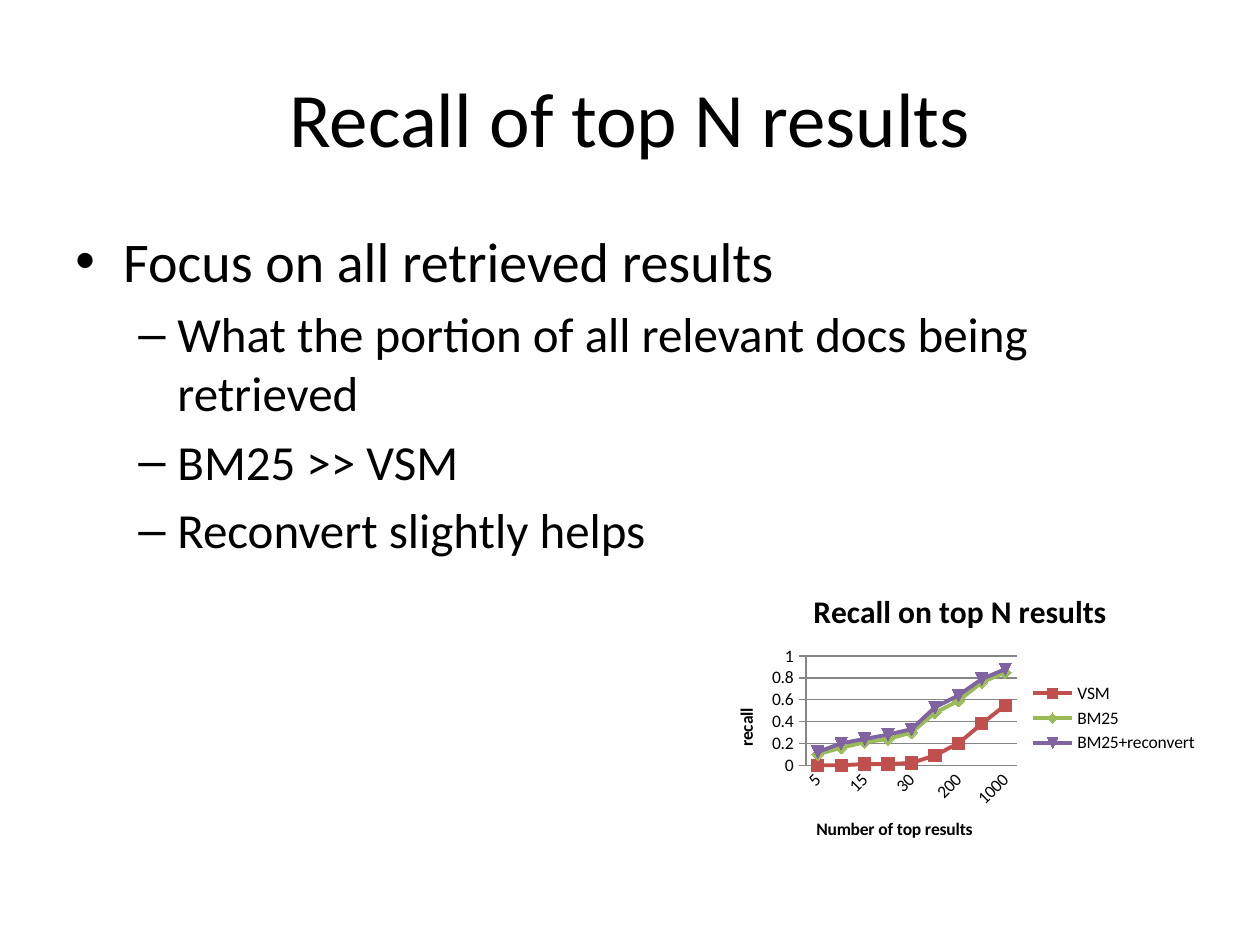
from lxml import etree
from pptx import Presentation
from pptx.chart.data import CategoryChartData
from pptx.dml.color import RGBColor
from pptx.enum import chart as kinds, text
from pptx.oxml import ns
from pptx.util import Inches, Pt

FONT = "Calibri"
BLACK = RGBColor(0x00, 0x00, 0x00)
GREY = RGBColor(0x86, 0x86, 0x86)
RED = RGBColor(0xC0, 0x50, 0x4D)
GREEN = RGBColor(0x9B, 0xBB, 0x59)
PURPLE = RGBColor(0x80, 0x64, 0xA2)

BULLETS = [
    (0, "Focus on all retrieved results"),
    (1, "What the portion of all relevant docs being retrieved"),
    (1, "BM25 >> VSM"),
    (1, "Reconvert slightly helps"),
]
LEVELS = [("•", 32, 0.38, -0.38), ("–", 28, 0.81, -0.31)]
TOP_COUNTS = ["5", "10", "15", "20", "30", "100", "200", "500", "1000"]
RECALL = [
    ("VSM", RED, [0, 0, 0.01, 0.01, 0.02, 0.09, 0.2, 0.38, 0.55]),
    ("BM25", GREEN, [0.1, 0.16, 0.21, 0.24, 0.3, 0.48, 0.59, 0.76, 0.85]),
    ("BM25+reconvert", PURPLE,
     [0.12, 0.2, 0.24, 0.28, 0.33, 0.53, 0.64, 0.79, 0.88]),
]


def set_font(font, size, bold=False):
    """Apply the common typeface and colour at the given size."""
    font.name = FONT
    font.size = Pt(size)
    font.bold = bold
    font.color.rgb = BLACK


def add_title(page, left, top, width, height):
    """Place the centred slide title."""
    frame = page.shapes.add_textbox(left, top, width, height).text_frame
    frame.word_wrap = True
    frame.vertical_anchor = text.MSO_ANCHOR.MIDDLE
    para = frame.paragraphs[0]
    para.text = "Recall of top N results"
    para.alignment = text.PP_ALIGN.CENTER
    set_font(para.font, 44)


def add_bullets(page, left, top, width, height):
    """Place the two-level bullet list."""
    frame = page.shapes.add_textbox(left, top, width, height).text_frame
    frame.word_wrap = True
    for index, (level, wording) in enumerate(BULLETS):
        para = frame.add_paragraph() if index else frame.paragraphs[0]
        symbol, size, margin, indent = LEVELS[level]
        para.text = wording
        para.level = level
        para.space_before = Pt(size * 0.2)
        set_font(para.font, size)
        properties = para._p.get_or_add_pPr()
        properties.set("marL", str(Inches(margin)))
        properties.set("indent", str(Inches(indent)))
        bullet_font = etree.Element(ns.qn("a:buFont"), typeface="Arial")
        bullet = etree.Element(ns.qn("a:buChar"), char=symbol)
        defaults = properties.find(ns.qn("a:defRPr"))
        defaults.addprevious(bullet_font)
        defaults.addprevious(bullet)


def set_title(owner, wording, size):
    """Give a chart or an axis a bold title."""
    frame = owner.text_frame
    frame.text = wording
    set_font(frame.paragraphs[0].font, size, bold=True)


def add_recall_chart(page, left, top, width, height):
    """Place the line chart of recall for each method."""
    data = CategoryChartData()
    data.categories = TOP_COUNTS
    for name, _, values in RECALL:
        data.add_series(name, values)
    chart = page.shapes.add_chart(
        kinds.XL_CHART_TYPE.LINE_MARKERS, left, top, width, height, data).chart
    set_font(chart.font, 10)
    set_title(chart.chart_title, "Recall on top N results", 18)
    chart.chart_title.include_in_layout = False
    chart.has_legend = True
    chart.legend.position = kinds.XL_LEGEND_POSITION.RIGHT
    chart.legend.include_in_layout = False

    set_title(chart.category_axis.axis_title, "Number of top results", 10)
    set_title(chart.value_axis.axis_title, "recall", 10)
    chart.category_axis.major_tick_mark = kinds.XL_TICK_MARK.NONE
    chart.value_axis.major_tick_mark = kinds.XL_TICK_MARK.CROSS
    chart.value_axis.minimum_scale = 0
    chart.value_axis.maximum_scale = 1
    chart.value_axis.major_unit = 0.2
    for part in (chart.category_axis, chart.value_axis,
                 chart.value_axis.major_gridlines):
        part.format.line.color.rgb = GREY
        part.format.line.width = Pt(0.75)

    plot = chart.plots[0]
    plot.vary_by_categories = False
    for series, (_, color, _) in zip(plot.series, RECALL):
        series.smooth = False
        series.format.line.color.rgb = color
        series.format.line.width = Pt(2.25)
        series.marker.size = 7
        series.marker.format.fill.solid()
        series.marker.format.fill.fore_color.rgb = color
        series.marker.format.line.color.rgb = color


def main():
    """Build the slide and save the deck."""
    deck = Presentation()
    deck.slide_width = Inches(10)
    deck.slide_height = Inches(7.5)
    page = deck.slides.add_slide(deck.slide_layouts[6])
    add_title(page, Inches(0.5), Inches(0.3), Inches(9), Inches(1.25))
    add_bullets(page, Inches(0.5), Inches(1.75), Inches(9), Inches(4.95))
    add_recall_chart(
        page, Inches(5.63), Inches(4.53), Inches(3.98), Inches(2.34))
    deck.save("out.pptx")


if __name__ == "__main__":
    main()
